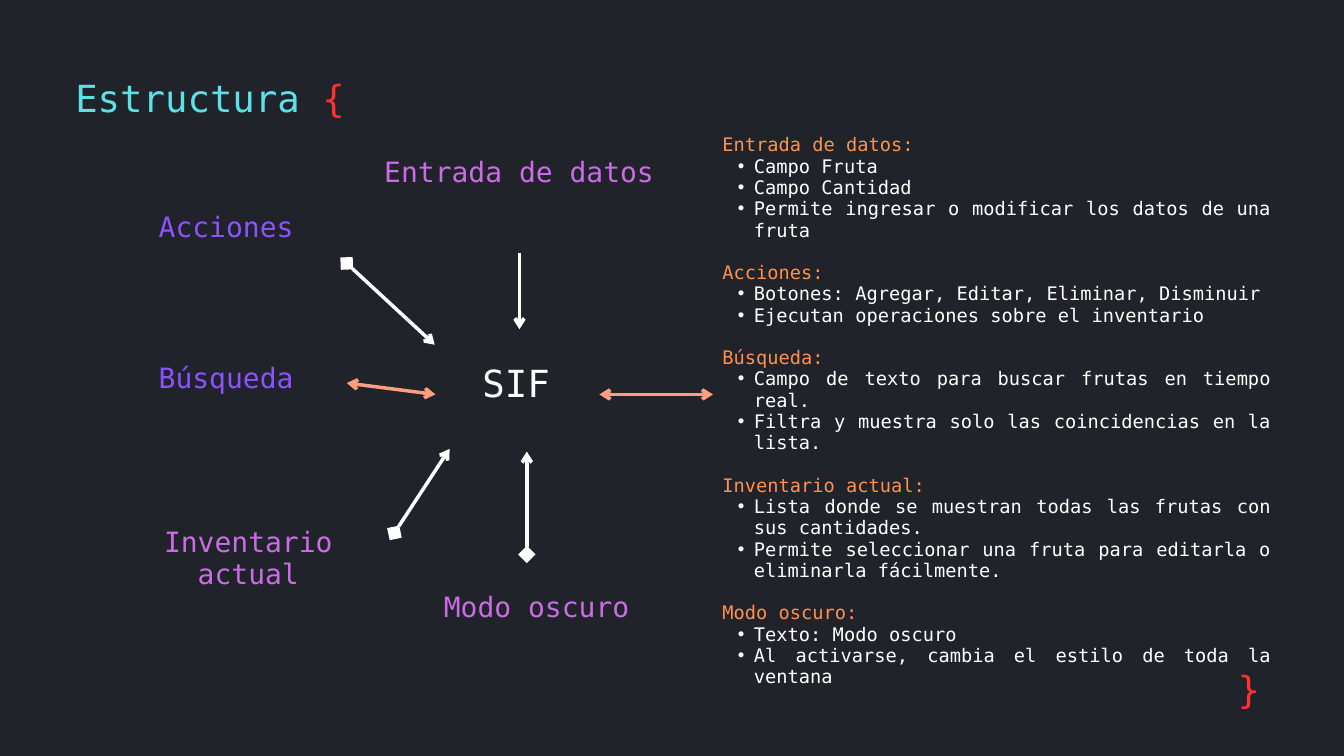
from lxml import etree
from pptx import Presentation
from pptx.dml.color import RGBColor
from pptx.enum.shapes import MSO_CONNECTOR
from pptx.enum.text import MSO_AUTO_SIZE, PP_ALIGN
from pptx.oxml.ns import qn
from pptx.util import Inches, Pt

LEFT, CENTER, RIGHT = PP_ALIGN.LEFT, PP_ALIGN.CENTER, PP_ALIGN.RIGHT
JUSTIFY = PP_ALIGN.JUSTIFY
STRAIGHT = MSO_CONNECTOR.STRAIGHT
GROW = MSO_AUTO_SIZE.SHAPE_TO_FIT_TEXT

BACKGROUND = RGBColor(0x20, 0x23, 0x2A)
WHITE = RGBColor(0xFF, 0xFF, 0xFF)
CYAN = RGBColor(0x5C, 0xE1, 0xE6)
RED = RGBColor(0xFF, 0x31, 0x31)
VIOLET = RGBColor(0x8C, 0x52, 0xFF)
PINK = RGBColor(0xCB, 0x6C, 0xE6)
ORANGE = RGBColor(0xFF, 0x91, 0x4D)
SALMON = RGBColor(0xFD, 0x9E, 0x80)

TITLE_SIZE, LABEL_SIZE, BODY_SIZE = 40, 30, 20
LABEL_WIDTH = 4.03

# text, left, top, height, colour
LABELS = [
    ("Acciones", 1.35, 3.14, 0.48, VIOLET),
    ("Búsqueda", 1.35, 5.39, 0.48, VIOLET),
    ("Inventario actual", 1.68, 7.83, 0.95, PINK),
    ("Entrada de datos", 5.71, 2.32, 0.48, PINK),
    ("Modo oscuro", 5.97, 8.8, 0.48, PINK),
]

# start, end, colour, mark at the start
ARROWS = [
    ((5.16, 3.92), (6.47, 5.13), WHITE, "diamond"),
    ((8.92, 5.87), (10.61, 5.87), SALMON, "arrow"),
    ((5.87, 7.93), (6.69, 6.68), WHITE, "diamond"),
    ((7.73, 3.76), (7.73, 4.9), WHITE, None),
    ((5.16, 5.7), (6.48, 5.87), SALMON, "arrow"),
    ((7.84, 8.25), (7.84, 6.72), WHITE, "diamond"),
]

SECTIONS = {
    "Entrada de datos:": [
        "Campo Fruta",
        "Campo Cantidad",
        "Permite ingresar o modificar los datos de una fruta",
    ],
    "Acciones:": [
        "Botones: Agregar, Editar, Eliminar, Disminuir",
        "Ejecutan operaciones sobre el inventario",
    ],
    "Búsqueda:": [
        "Campo de texto para buscar frutas en tiempo real.",
        "Filtra y muestra solo las coincidencias en la lista.",
    ],
    "Inventario actual:": [
        "Lista donde se muestran todas las frutas con sus cantidades.",
        "Permite seleccionar una fruta para editarla o eliminarla fácilmente.",
    ],
    "Modo oscuro:": [
        "Texto: Modo oscuro",
        "Al activarse, cambia el estilo de toda la ventana",
    ],
}


class SlideBuilder:
    font = "DejaVu Sans Mono"
    leading = 1.14
    line_width = Pt(3.75)

    def __init__(self, page):
        self.page = page
        page.background.fill.solid()
        page.background.fill.fore_color.rgb = BACKGROUND

    def frame(self, left, top, width, height):
        box = self.page.shapes.add_textbox(
            Inches(left), Inches(top), Inches(width), Inches(height))
        frame = box.text_frame
        frame.word_wrap = True
        frame.auto_size = GROW
        frame.margin_left = frame.margin_right = 0
        frame.margin_top = frame.margin_bottom = 0
        return frame

    def add_spans(self, para, spans, size, align):
        para.alignment = align
        para.line_spacing = Pt(round(size * self.leading, 1))
        for text, color in spans:
            span = para.add_run()
            span.text = text
            span.font.name = self.font
            span.font.size = Pt(size)
            span.font.color.rgb = color

    def label(self, spans, left, top, width, height, size, align=CENTER):
        frame = self.frame(left, top, width, height)
        self.add_spans(frame.paragraphs[0], spans, size, align)

    def bullet(self, para):
        para.level = 1
        properties = para._p.get_or_add_pPr()
        properties.set("marL", str(Inches(0.47)))
        properties.set("indent", str(Inches(-0.24)))
        etree.SubElement(properties, qn("a:buFont"), typeface="Arial")
        etree.SubElement(properties, qn("a:buChar"), char="•")

    def outline(self, sections, left, top, width, height):
        frame = self.frame(left, top, width, height)
        for index, (heading, items) in enumerate(sections.items()):
            para = frame.add_paragraph() if index else frame.paragraphs[0]
            self.add_spans(para, [(heading, ORANGE)], BODY_SIZE, JUSTIFY)
            if index:
                para.space_before = para.line_spacing
            for item in items:
                para = frame.add_paragraph()
                self.add_spans(para, [(item, WHITE)], BODY_SIZE, JUSTIFY)
                self.bullet(para)

    def arrow(self, start, end, color, mark):
        points = [Inches(value) for value in (*start, *end)]
        connector = self.page.shapes.add_connector(STRAIGHT, *points)
        connector.line.color.rgb = color
        connector.line.width = self.line_width
        line = connector.line._get_or_add_ln()
        for tag, kind in (("a:headEnd", mark), ("a:tailEnd", "arrow")):
            if kind:
                scale = "lg" if kind == "diamond" else "med"
                etree.SubElement(line, qn(tag), type=kind, w=scale, len=scale)
        etree.SubElement(connector._element.spPr, qn("a:effectLst"))


def main():
    deck = Presentation()
    deck.slide_width, deck.slide_height = Inches(20), Inches(11.25)
    builder = SlideBuilder(deck.slides.add_slide(deck.slide_layouts[6]))

    # Title and closing brace
    builder.label([("Estructura ", CYAN), ("{", RED)],
                  1.12, 1.15, 7.69, 0.64, TITLE_SIZE, LEFT)
    builder.label([("}", RED)], 17.98, 9.95, 0.77, 0.64, TITLE_SIZE, RIGHT)

    # Hub and its surrounding labels
    builder.label([("SIF", WHITE)], 6.67, 5.4, 2.02, 0.64, TITLE_SIZE)
    for text, left, top, height, color in LABELS:
        builder.label([(text, color)], left, top, LABEL_WIDTH, height, LABEL_SIZE)

    # Descriptions
    builder.outline(SECTIONS, 10.75, 2, 8.16, 8.45)

    # Arrows around the hub
    for arrow in ARROWS:
        builder.arrow(*arrow)

    deck.save("out.pptx")


if __name__ == "__main__":
    main()
